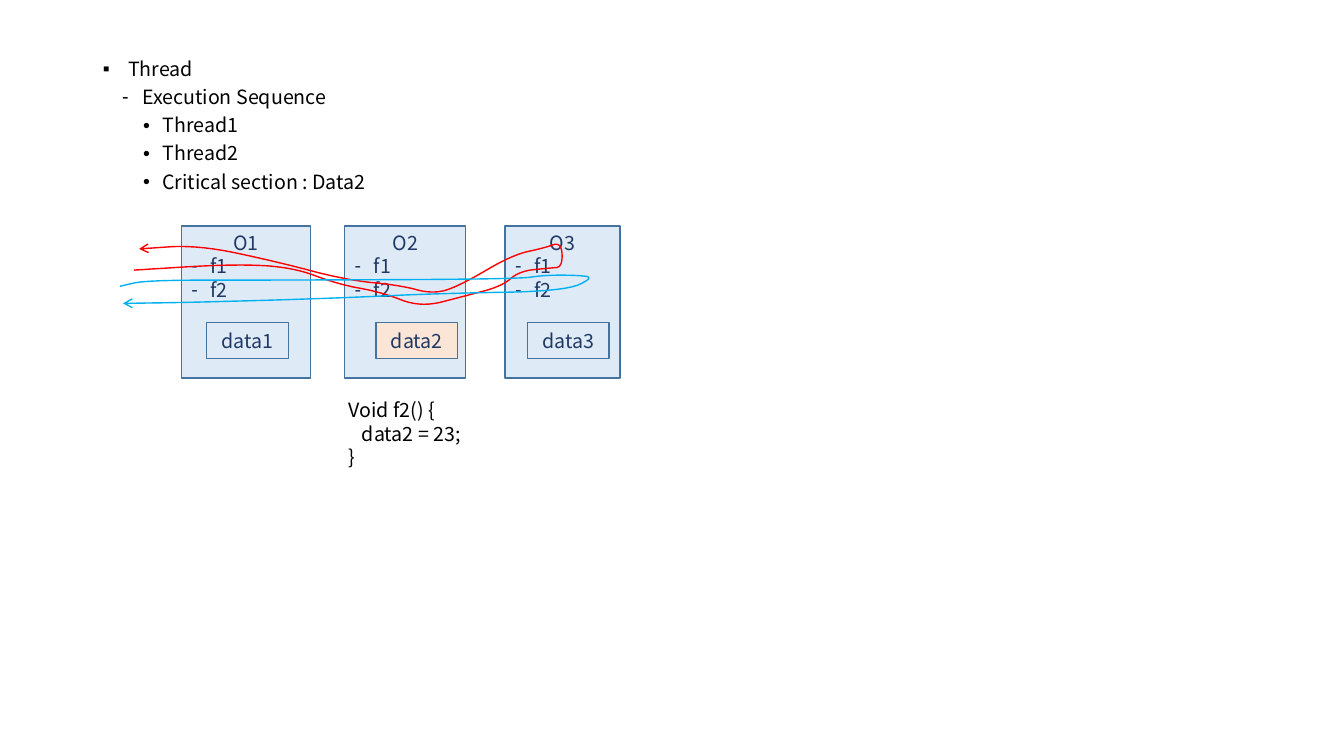
from collections import namedtuple
from itertools import pairwise

from lxml import etree
from pptx import Presentation
from pptx.dml.color import RGBColor
from pptx.enum.shapes import MSO_SHAPE
from pptx.enum.text import MSO_ANCHOR, MSO_AUTO_SIZE, PP_ALIGN
from pptx.oxml.ns import qn
from pptx.util import Inches, Pt

RECTANGLE = MSO_SHAPE.RECTANGLE
TOP, MIDDLE = MSO_ANCHOR.TOP, MSO_ANCHOR.MIDDLE
NO_AUTOFIT = MSO_AUTO_SIZE.NONE
LEFT, CENTER = PP_ALIGN.LEFT, PP_ALIGN.CENTER
FONT = "Noto Sans CJK KR"
BLACK, NAVY, STEEL = "000000", "203864", "43739E"
PALE_BLUE, PEACH, RED, SKY = "DEEBF7", "FBE5D6", "FF0000", "00B0F0"
OBJECT_TOP, OBJECT_HEIGHT = 2.24, 1.51
DATA_TOP, DATA_WIDTH, DATA_HEIGHT = 3.2, 0.81, 0.36
SMOOTHING_ROUNDS = 3

Bullet = namedtuple("Bullet", "char margin hanging")
Line = namedtuple("Line", "text align bullet", defaults=(LEFT, None))
Box = namedtuple("Box", "left top width height fill anchor lines")
Thread = namedtuple("Thread", "color outbound turn inbound")


def rgb(value):
    return RGBColor.from_string(value)


def write(frame, lines, color, anchor=TOP):
    frame.word_wrap = True
    frame.auto_size = NO_AUTOFIT
    frame.vertical_anchor = anchor
    frame.text = "\n".join(line.text for line in lines)
    for paragraph, line in zip(frame.paragraphs, lines):
        paragraph.alignment = line.align
        if line.bullet:
            properties = paragraph._p.get_or_add_pPr()
            properties.set("marL", str(Inches(line.bullet.margin)))
            properties.set("indent", str(Inches(-line.bullet.hanging)))
            etree.SubElement(properties, qn("a:buFont")).set("typeface", "Arial")
            etree.SubElement(properties, qn("a:buChar")).set("char", line.bullet.char)
        for run in paragraph.runs:
            run.font.name = FONT
            run.font.size = Pt(14)
            run.font.color.rgb = rgb(color)


prs = Presentation()
prs.slide_width, prs.slide_height = Inches(13.33), Inches(7.5)
slide = prs.slides.add_slide(prs.slide_layouts[1])
title = slide.shapes.title._element
title.getparent().remove(title)

outline = slide.placeholders[1]
outline.left, outline.top = Inches(0.92), Inches(0.54)
outline.width, outline.height = Inches(5.36), Inches(6.22)
level_bullets = [Bullet("▪", 0.25, 0.25), Bullet("-", 0.39, 0.2), Bullet("•", 0.59, 0.19)]
topics = [("Thread", 0), ("Execution Sequence", 1), ("Thread1", 2),
          ("Thread2", 2), ("Critical section : Data2", 2)]
topic_lines = [Line(text, bullet=level_bullets[level]) for text, level in topics]
write(outline.text_frame, topic_lines, BLACK)
for paragraph, (_, level) in zip(outline.text_frame.paragraphs, topics):
    paragraph.level = level
    paragraph.line_spacing = 0.9
    paragraph.space_before = Pt(5 if level else 0)

function_bullet = Bullet("-", 0.19, 0.19)
functions = [Line(name, bullet=function_bullet) for name in ("f1", "f2")]
object_spans = [(1.8, 1.28), (3.42, 1.2), (5.01, 1.14)]
data_looks = [(2.05, PALE_BLUE), (3.73, PEACH), (5.23, PALE_BLUE)]
boxes = []
for number, (left, width) in enumerate(object_spans, start=1):
    lines = [Line(f"O{number}", CENTER)] + functions
    boxes.append(Box(left, OBJECT_TOP, width, OBJECT_HEIGHT, PALE_BLUE, TOP, lines))
for number, (left, fill) in enumerate(data_looks, start=1):
    lines = [Line(f"data{number}", CENTER)]
    boxes.append(Box(left, DATA_TOP, DATA_WIDTH, DATA_HEIGHT, fill, MIDDLE, lines))

for box in boxes:
    rectangle = slide.shapes.add_shape(RECTANGLE, Inches(box.left), Inches(box.top),
                                       Inches(box.width), Inches(box.height))
    rectangle.shadow.inherit = False
    rectangle.fill.solid()
    rectangle.fill.fore_color.rgb = rgb(box.fill)
    rectangle.line.color.rgb = rgb(STEEL)
    rectangle.line.width = Pt(1)
    write(rectangle.text_frame, box.lines, NAVY, box.anchor)

threads = [
    Thread(RED,
           outbound=[(1.33, 2.68), (2.3, 2.62), (2.9, 2.65), (3.35, 2.82), (3.79, 2.9),
                     (4.17, 3.05), (4.6, 2.94), (4.98, 2.84), (5.15, 2.69)],
           turn=[(5.45, 2.66), (5.58, 2.65), (5.57, 2.4), (5.4, 2.46)],
           inbound=[(5.08, 2.53), (4.57, 2.83), (4.3, 2.92), (3.97, 2.83), (3.44, 2.78),
                    (2.72, 2.59), (1.96, 2.43), (1.38, 2.47)]),
    Thread(SKY,
           outbound=[(1.19, 2.84), (1.45, 2.78), (2.48, 2.78), (5.12, 2.77)],
           turn=[(5.4, 2.73), (5.7, 2.73), (5.9, 2.75), (5.6, 2.89)],
           inbound=[(4.37, 2.91), (3.3, 2.96), (1.92, 3), (1.22, 3.01)]),
]
for thread in threads:
    route = thread.outbound + thread.turn + thread.inbound
    for _ in range(SMOOTHING_ROUNDS):
        rounded = [((1 - step) * x1 + step * x2, (1 - step) * y1 + step * y2)
                   for (x1, y1), (x2, y2) in pairwise(route) for step in (0.25, 0.75)]
        route = [route[0], *rounded, route[-1]]
    start, *rest = [(Inches(x), Inches(y)) for x, y in route]
    builder = slide.shapes.build_freeform(*start)
    builder.add_line_segments(rest, close=False)
    arrow = builder.convert_to_shape()
    arrow.shadow.inherit = False
    arrow.fill.background()
    arrow.line.color.rgb = rgb(thread.color)
    arrow.line.width = Pt(1)
    etree.SubElement(arrow.line._get_or_add_ln(), qn("a:tailEnd")).set("type", "arrow")

code = slide.shapes.add_textbox(Inches(3.36), Inches(3.9), Inches(1.79), Inches(1.24))
code_lines = [Line("Void f2() {"), Line("   data2 = 23;"), Line("}")]
write(code.text_frame, code_lines, BLACK)

prs.save("out.pptx")
